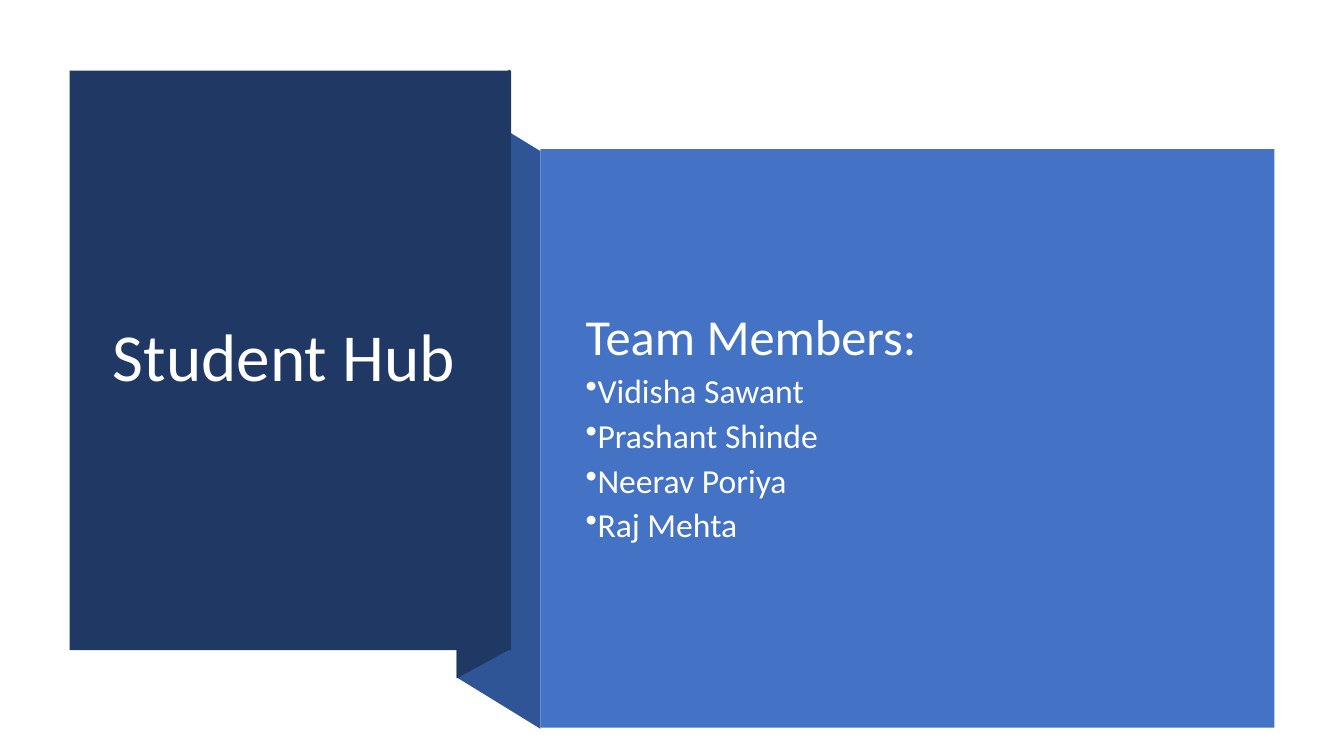
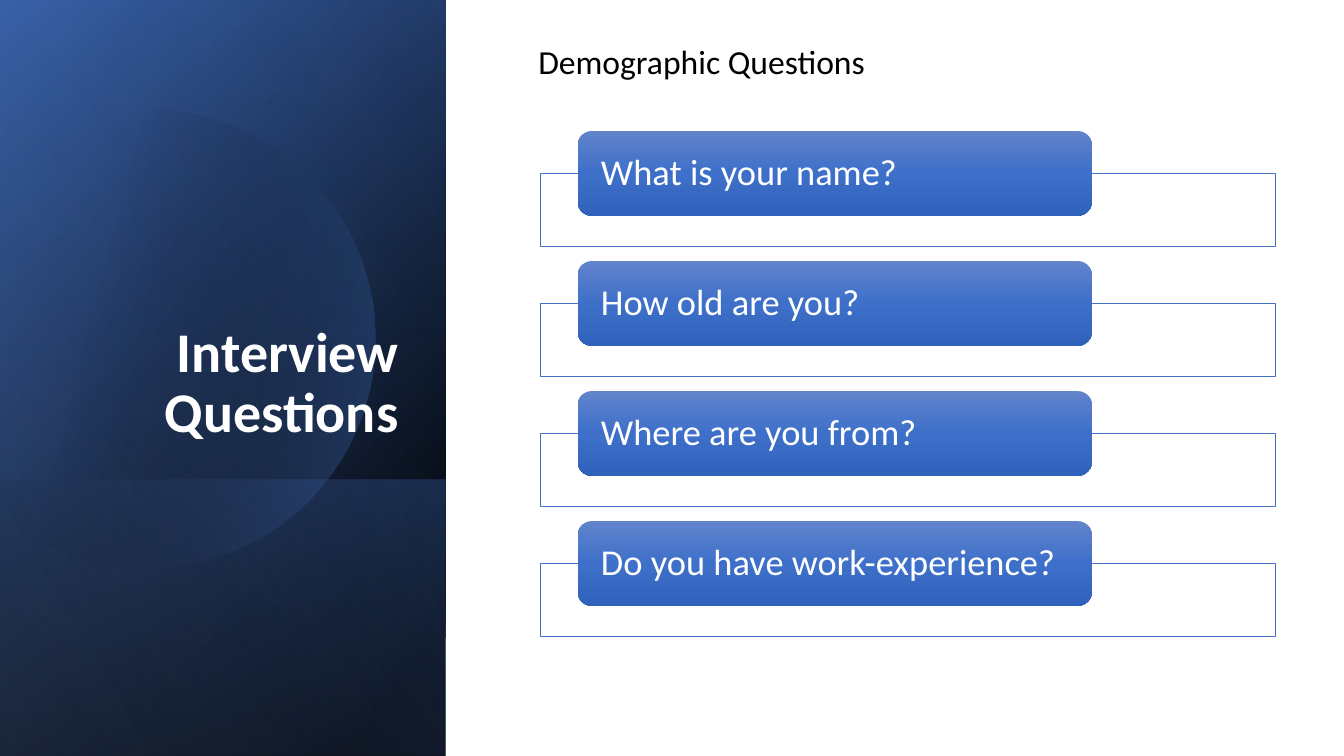
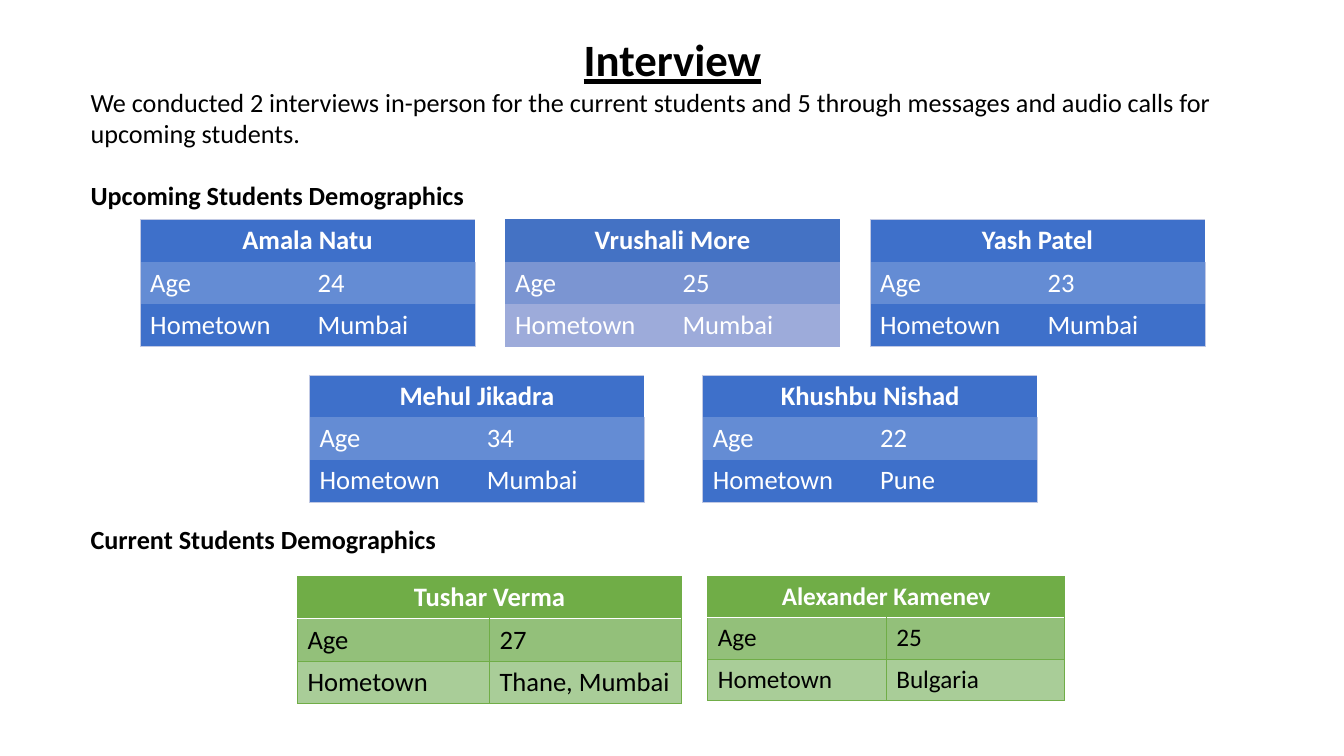
import math
from dataclasses import dataclass
from typing import Optional

import pptx
import pptx.dml.color
import pptx.enum.shapes
import pptx.enum.text
import pptx.oxml
import pptx.oxml.ns
import pptx.util
from lxml import etree

Inches = pptx.util.Inches
Pt = pptx.util.Pt
qn = pptx.oxml.ns.qn
SHAPE = pptx.enum.shapes.MSO_SHAPE
ALIGN = pptx.enum.text.PP_ALIGN
ANCHOR = pptx.enum.text.MSO_ANCHOR

FONT = "Calibri"
NO_STYLE = "{2D5ABB26-0587-4C30-8999-92F81FD0307C}"
COLORS = {
    "white": "FFFFFF", "black": "000000", "navy": "203864", "fold": "2F5597",
    "blue": "4472C4", "pale": "8FAADC", "button_top": "6183CB",
    "button": "3E70CA", "button_end": "3062BB", "band": "648CD4",
    "blue_mid": "7B95D2", "blue_light": "9DABDA", "edge": "C1C9E4",
    "green": "70AD47", "green_mid": "93C07A", "green_light": "A9CD98",
}


@dataclass(frozen=True)
class Stop:
    pos: int
    color: str
    alpha: int = 100


@dataclass(frozen=True)
class Layer:
    top: float
    angle: int
    stops: tuple[Stop, ...]


@dataclass(frozen=True)
class TableLook:
    fills: tuple[str, str, str]  # one per row
    body_text: str
    edge: Optional[str] = None   # outer border
    grid: Optional[str] = None   # border of every cell
    header_edge: Optional[str] = None


@dataclass(frozen=True)
class Student:
    name: str
    age: str
    hometown: str
    left: float
    top: float
    look: TableLook
    width: float = 3.32
    size: int = 19
    row_height: float = 0.42


# Shared helpers
def rgb(name: str) -> pptx.dml.color.RGBColor:
    return pptx.dml.color.RGBColor.from_string(COLORS[name])


def paint(sp, color: str, line: Optional[str] = None) -> None:
    sp.shadow.inherit = False
    sp.fill.solid()
    sp.fill.fore_color.rgb = rgb(color)
    if line:
        sp.line.color.rgb = rgb(line)
        sp.line.width = Pt(0.5)
    else:
        sp.line.fill.background()


def paint_gradient(sp, stops: tuple[Stop, ...], angle: int) -> None:
    paint(sp, "white")
    sp.fill.gradient()
    grad = sp._element.spPr.find(qn("a:gradFill"))
    for child in list(grad):
        grad.remove(child)
    grad.set("rotWithShape", "1")
    gs_list = etree.SubElement(grad, qn("a:gsLst"))
    for stop in stops:
        gs = etree.SubElement(gs_list, qn("a:gs"), pos=str(stop.pos * 1000))
        clr = etree.SubElement(gs, qn("a:srgbClr"), val=COLORS[stop.color])
        if stop.alpha < 100:
            etree.SubElement(clr, qn("a:alpha"), val=str(stop.alpha * 1000))
    etree.SubElement(grad, qn("a:lin"), ang=str(angle * 60000), scaled="0")


def add_box(s, left: float, top: float, width: float, height: float,
            kind=SHAPE.RECTANGLE):
    return s.shapes.add_shape(kind, Inches(left), Inches(top),
                              Inches(width), Inches(height))


def add_outline(s, points: list[tuple[float, float]]):
    emu = [(Inches(x), Inches(y)) for x, y in points]
    builder = s.shapes.build_freeform(*emu[0], scale=1.0)
    builder.add_line_segments(emu[1:], close=True)
    return builder.convert_to_shape()


def add_text_box(s, left: float, top: float, width: float, height: float,
                 anchor=ANCHOR.TOP):
    tf = s.shapes.add_textbox(Inches(left), Inches(top),
                              Inches(width), Inches(height)).text_frame
    tf.word_wrap = True
    tf.vertical_anchor = anchor
    return tf


def add_run(p, text: str, size: float, color: str, bold: bool = False) -> None:
    r = p.add_run()
    r.text = text
    r.font.name = FONT
    r.font.size = Pt(size)
    r.font.bold = bold
    r.font.color.rgb = rgb(color)


def next_paragraph(tf, before: float = 0, after: float = 0,
                   spacing: float = 1.0, align=ALIGN.LEFT):
    p = tf.paragraphs[0]
    if p.runs:
        p = tf.add_paragraph()
        p.space_before = Pt(before)
    p.space_after = Pt(after)
    p.line_spacing = spacing
    p.alignment = align
    return p


# Slide 1: folded title ribbon and team list
def build_title_slide(s) -> None:
    paint(add_outline(s, [(5.36, 7.23), (4.53, 6.72), (4.53, 0.99), (5.36, 1.5)]), "fold")
    paint(add_outline(s, [(5.06, 6.44), (4.53, 6.73), (4.53, 0.98), (5.06, 0.69)]), "navy")
    paint(add_box(s, 0.69, 0.7, 4.38, 5.75), "navy")
    tf = add_text_box(s, 1.02, 1.07, 3.71, 4.99, ANCHOR.MIDDLE)
    add_run(next_paragraph(tf, after=6, spacing=0.9), "Student Hub", 48, "white")

    paint(add_box(s, 5.36, 1.48, 7.28, 5.74), "blue")
    tf = add_text_box(s, 5.71, 1.88, 6.51, 4.74, ANCHOR.MIDDLE)
    add_run(next_paragraph(tf, after=6, spacing=0.9), "Team Members:", 36, "white")
    for member in ("Vidisha Sawant", "Prashant Shinde", "Neerav Poriya", "Raj Mehta"):
        p = next_paragraph(tf, after=6, spacing=0.9)
        ppr = p._p.get_or_add_pPr()
        ppr.set("marL", "0")
        ppr.set("indent", str(-Inches(0.25)))
        etree.SubElement(ppr, qn("a:buChar"), char="•")
        add_run(p, member, 24, "white")


# Slide 2: gradient side panel and question list
PANEL_WIDTH = 4.42
BASE_LAYERS = (
    Layer(0, 220, (Stop(8, "black"), Stop(100, "fold"))),
    Layer(0, 240, (Stop(0, "black", 0), Stop(99, "blue", 46))),
    Layer(4.76, 140, (Stop(2, "blue", 29), Stop(100, "black", 30))),
)
TOP_LAYER = Layer(0, 150, (Stop(0, "black", 0), Stop(99, "pale", 11)))
BUTTON_STOPS = (Stop(0, "button_top"), Stop(50, "button"), Stop(100, "button_end"))


def add_layer(s, layer: Layer) -> None:
    sp = add_box(s, 0, layer.top, PANEL_WIDTH, 7.5 - layer.top)
    paint_gradient(sp, layer.stops, layer.angle)


def add_disc(s) -> None:
    """Disc cut off by the left edge of the slide."""
    cx, cy, radius, steps = 1.44, 3.36, 2.28, 90
    limit = math.acos(-cx / radius)
    angles = [limit * (2 * i / steps - 1) for i in range(steps + 1)]
    sp = add_outline(s, [(cx + radius * math.cos(a), cy + radius * math.sin(a))
                         for a in angles])
    paint_gradient(sp, (Stop(29, "black", 0), Stop(100, "blue", 43)), 14)


def add_question(s, top: float, question: str) -> None:
    paint(add_box(s, 5.36, top + 0.42, 7.29, 0.72), "white", "blue")
    sp = add_box(s, 5.73, top, 5.1, 0.84, SHAPE.ROUNDED_RECTANGLE)
    paint_gradient(sp, BUTTON_STOPS, 90)
    tf = sp.text_frame
    tf.word_wrap = True
    tf.vertical_anchor = ANCHOR.MIDDLE
    tf.margin_left = tf.margin_right = Inches(0.19)
    tf.margin_top = tf.margin_bottom = 0
    add_run(next_paragraph(tf, spacing=0.9), question, 26, "white")


def build_questions_slide(s) -> None:
    for layer in BASE_LAYERS:
        add_layer(s, layer)
    add_disc(s)
    add_layer(s, TOP_LAYER)
    tf = add_text_box(s, 0.64, 1.84, 3.41, 2.62, ANCHOR.BOTTOM)
    p = next_paragraph(tf, after=6, spacing=0.9, align=ALIGN.RIGHT)
    add_run(p, "Interview Questions", 40, "white", bold=True)

    tf = add_text_box(s, 5.24, 0.36, 4.49, 0.52)
    add_run(next_paragraph(tf), "Demographic Questions", 24, "black")
    questions = ("What is your name?", "How old are you?",
                 "Where are you from?", "Do you have work-experience?")
    for i, question in enumerate(questions):
        add_question(s, 1.3 + 1.29 * i, question)


# Slide 3: interview summary and one table per student
BLUE_LOOK = TableLook(("button", "band", "button"), "white", edge="edge")
LIGHT_LOOK = TableLook(("blue", "blue_mid", "blue_light"), "white", header_edge="blue")
GREEN_LOOK = TableLook(("green", "green_mid", "green_light"), "black",
                       grid="green", header_edge="green")
STUDENTS = (
    Student("Amala Natu", "24", "Mumbai", 1.39, 2.18, BLUE_LOOK),
    Student("Vrushali More", "25", "Mumbai", 5.01, 2.18, LIGHT_LOOK),
    Student("Yash Patel", "23", "Mumbai", 8.63, 2.18, BLUE_LOOK),
    Student("Mehul Jikadra", "34", "Mumbai", 3.07, 3.72, BLUE_LOOK),
    Student("Khushbu Nishad", "22", "Pune", 6.97, 3.72, BLUE_LOOK),
    Student("Tushar Verma", "27", "Thane, Mumbai", 2.95, 5.72, GREEN_LOOK, width=3.81),
    Student("Alexander Kamenev", "25", "Bulgaria", 7.02, 5.72, GREEN_LOOK,
            width=3.54, size=18, row_height=0.41),
)


def cell_borders(look: TableLook, row: int, col: int) -> dict[str, tuple[str, float]]:
    """Border colour and width by side, in the order the file format asks for."""
    borders = {}
    outer = {"L": col == 0, "R": col == 1, "T": row == 0, "B": row == 2}
    for side, is_outer in outer.items():
        color = look.grid or (look.edge if is_outer else None)
        if row == 0 and is_outer:
            color = look.header_edge or color
        if look.grid and (row, side) in ((0, "B"), (1, "T")):
            borders[side] = ("white", 1)
        elif color and not (row == 0 and side in "LR" and not is_outer):
            borders[side] = (color, 0.5)
    return borders


def add_student_table(s, student: Student) -> None:
    look = student.look
    frame = s.shapes.add_table(3, 2, Inches(student.left), Inches(student.top),
                               Inches(student.width), Inches(3 * student.row_height))
    table = frame.table
    table.first_row = table.horz_banding = False
    table._tbl.tblPr.find(qn("a:tableStyleId")).text = NO_STYLE
    for row in table.rows:
        row.height = Inches(student.row_height)
    table.cell(0, 0).merge(table.cell(0, 1))

    texts = ((student.name, ""), ("Age", student.age), ("Hometown", student.hometown))
    for i, row_texts in enumerate(texts):
        for j, text in enumerate(row_texts):
            cell = table.cell(i, j)
            tcpr = cell._tc.get_or_add_tcPr()
            for side, (color, width) in cell_borders(look, i, j).items():
                ln = etree.SubElement(tcpr, qn(f"a:ln{side}"), w=str(Pt(width)))
                fill = etree.SubElement(ln, qn("a:solidFill"))
                etree.SubElement(fill, qn("a:srgbClr"), val=COLORS[color])
            cell.fill.solid()
            cell.fill.fore_color.rgb = rgb(look.fills[i])
            if not text:
                continue
            header = i == 0
            if header:
                cell.vertical_anchor = ANCHOR.MIDDLE
            p = next_paragraph(cell.text_frame, align=ALIGN.CENTER if header else ALIGN.LEFT)
            add_run(p, text, student.size, "white" if header else look.body_text, header)


def build_interview_slide(s) -> None:
    tf = add_text_box(s, 0.8, 0.27, 11.74, 5.85)
    p = next_paragraph(tf, align=ALIGN.CENTER)
    add_run(p, "Interview", 32, "black", bold=True)
    p.runs[0].font.underline = True
    add_run(next_paragraph(tf),
            "We conducted 2 interviews in-person for the current students and 5 through "
            "messages and audio calls for upcoming students.", 18.7, "black")
    for heading, before in (("Upcoming Students Demographics", 21.5),
                            ("Current Students Demographics", 223.6)):
        add_run(next_paragraph(tf, before=before), heading, 18.7, "black", bold=True)
    for student in STUDENTS:
        add_student_table(s, student)


def main() -> None:
    prs = pptx.Presentation()
    prs.slide_width, prs.slide_height = Inches(13.33), Inches(7.5)
    for build in (build_title_slide, build_questions_slide, build_interview_slide):
        build(prs.slides.add_slide(prs.slide_layouts[6]))
    prs.save("out.pptx")


if __name__ == "__main__":
    main()
